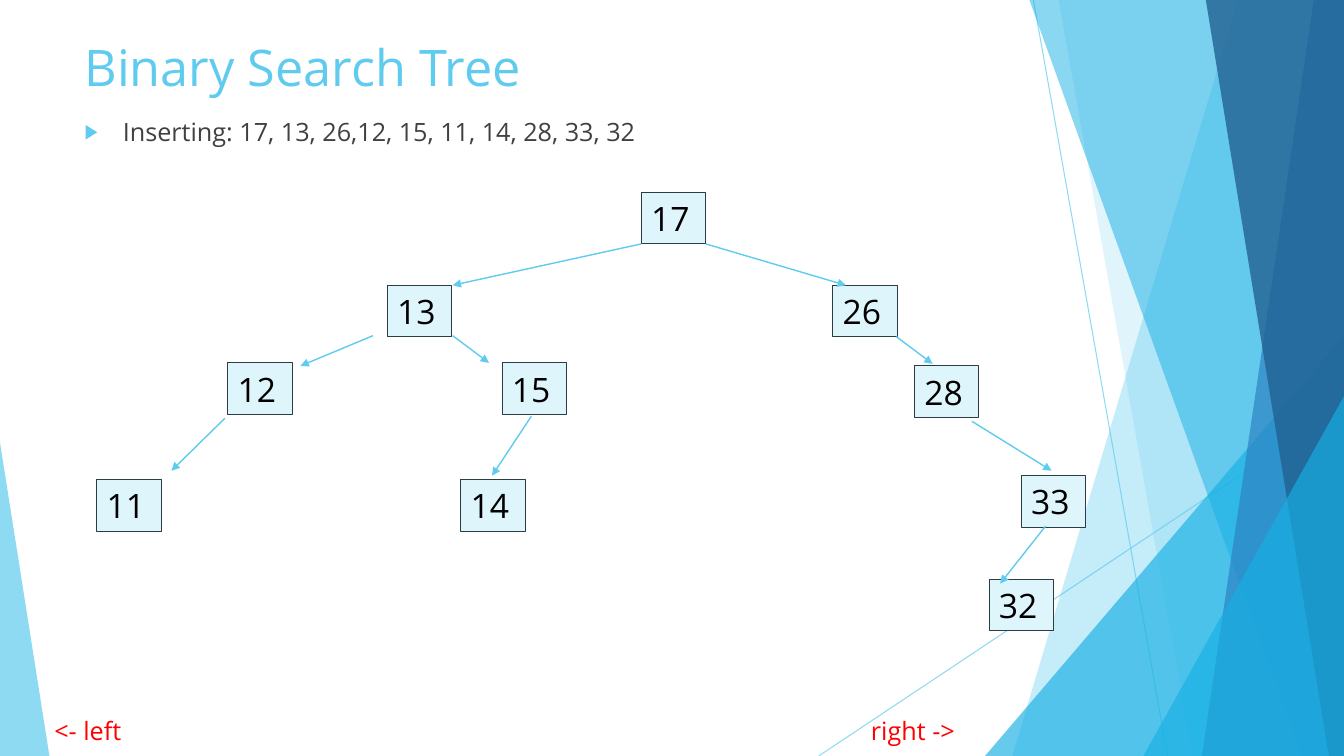
"""Build a slide that shows a binary search tree after ten inserts."""
from dataclasses import dataclass

from lxml.etree import SubElement as Sub
from pptx import Presentation as Deck
from pptx.dml.color import RGBColor as Rgb
from pptx.enum.shapes import MSO_CONNECTOR as Link, MSO_SHAPE as Kind
from pptx.enum.text import MSO_ANCHOR as Anchor, PP_ALIGN as Align
from pptx.oxml.ns import qn
from pptx.util import Inches, Pt


@dataclass(frozen=True)
class Theme:
    font: str = "Open Sans"
    sky: str = "5FCBEF"
    cyan: str = "17B0E4"
    blue: str = "2E83C3"
    navy: str = "226292"
    pale: str = "DFF5FC"
    edge: str = "2C3C43"
    ink: str = "000000"
    gray: str = "404040"
    red: str = "FF0000"
    head: int = 36
    node: int = 24
    body: int = 18


look = Theme()
WIDE, HIGH = 13.33, 7.5
BOX_W, BOX_H = 0.64, 0.51

TITLE = "Binary Search Tree"
INSERTS = "Inserting: 17, 13, 26,12, 15, 11, 14, 28, 33, 32"
SIDES = "<- left\tright ->"

NODES = {
    17: (6.36, 1.91), 26: (8.26, 2.83), 13: (3.84, 2.83), 15: (4.98, 3.6),
    12: (2.26, 3.6), 32: (9.81, 5.75), 33: (10.13, 4.72), 28: (9.07, 3.63),
    14: (4.57, 4.76), 11: (0.96, 4.76),
}
ARROWS = [
    (6.36, 2.42, 4.49, 2.83), (7, 2.42, 8.39, 2.83),
    (3.7, 3.33, 2.98, 3.63), (4.49, 3.33, 4.85, 3.6),
    (2.23, 4.15, 1.7, 4.67), (5.27, 4.13, 4.88, 4.72),
    (8.89, 3.34, 9.25, 3.61), (9.64, 4.18, 10.43, 4.67),
    (10.37, 5.22, 9.92, 5.79),
]
RAYS = [(10.25, 0, 11.58, HIGH), (WIDE, 4.03, 8.12, HIGH)]
BANDS = [
    ("band", 12.28, 10.04, look.sky, 36),
    ("band", 10.5, 11.83, look.sky, 20),
    ("wedge", 9.77, 3.33, 3.56, 1, look.cyan, 66),
    ("band", 10.21, 12.91, look.cyan, 50),
    ("band", 13.03, 11.92, look.blue, 70),
    ("band", 11.96, 13.18, look.navy, 80),
    ("wedge", 11.34, 3.93, 1.99, 1, look.cyan, 66),
    ("wedge", 0, 4.39, 0.49, 0, look.sky, 70),
]


def fade(shape, pct):
    for tint in shape._element.iter(qn("a:srgbClr")):
        Sub(tint, qn("a:alpha"), val=str(pct * 1000))


def paint(shape, fill, line=None):
    shape.shadow.inherit = False
    shape.fill.solid()
    shape.fill.fore_color.rgb = Rgb.from_string(fill)
    if line:
        shape.line.color.rgb = Rgb.from_string(line)
        shape.line.width = Pt(0.75)
    else:
        shape.line.fill.background()


def band(top, low, tint, pct):
    pen = shapes.build_freeform(Inches(top), 0, 1.0)
    ends = [(WIDE, 0), (WIDE, HIGH), (low, HIGH)]
    pen.add_line_segments([(Inches(x), Inches(y)) for x, y in ends])
    shape = pen.convert_to_shape()
    paint(shape, tint)
    fade(shape, pct)


def wedge(left, top, width, peak, tint, pct):
    shape = shapes.add_shape(Kind.ISOSCELES_TRIANGLE, Inches(left), Inches(top),
                             Inches(width), Inches(HIGH - top))
    shape.adjustments[0] = peak
    paint(shape, tint)
    fade(shape, pct)


def line(ends, width):
    link = shapes.add_connector(Link.STRAIGHT, *map(Inches, ends))
    link.line.color.rgb = Rgb.from_string(look.sky)
    link.line.width = Pt(width)
    Sub(link._element.spPr, qn("a:effectLst"))
    return link


def write(shape, text, size, tint, anchor=Anchor.MIDDLE):
    frame = shape.text_frame
    frame.word_wrap = True
    frame.vertical_anchor = anchor
    para = frame.paragraphs[0]
    para.alignment = Align.LEFT
    run = para.add_run()
    run.text = text
    run.font.name = look.font
    run.font.size = Pt(size)
    run.font.color.rgb = Rgb.from_string(tint)
    return para._p.get_or_add_pPr()


def label(left, top, width, height, *words):
    area = shapes.add_textbox(*map(Inches, (left, top, width, height)))
    return write(area, *words)


deck = Deck()
deck.slide_width, deck.slide_height = Inches(WIDE), Inches(HIGH)
shapes = deck.slides.add_slide(deck.slide_layouts[6]).shapes

for ends in RAYS:
    fade(line(ends, 0.75), 70)
for kind, *spec_row in BANDS:
    {"band": band, "wedge": wedge}[kind](*spec_row)

label(0.74, 0.3, 9.4, 0.72, TITLE, look.head, look.sky)
props = label(0.74, 1.1, 9.4, 0.5, INSERTS, look.body, look.gray, Anchor.TOP)
indent = Inches(0.38)
props.set("marL", str(indent))
props.set("indent", str(-indent))
Sub(Sub(props, qn("a:buClr")), qn("a:srgbClr"), val=look.sky)
Sub(props, qn("a:buSzPct"), val="80000")
Sub(props, qn("a:buFont"), typeface=look.font)
Sub(props, qn("a:buChar"), char="▶")

for key, (left, top) in NODES.items():
    node = shapes.add_shape(Kind.RECTANGLE, Inches(left), Inches(top),
                            Inches(BOX_W), Inches(BOX_H))
    paint(node, look.pale, look.edge)
    write(node, str(key), look.node, look.ink)

for ends in ARROWS:
    arrow = line(ends, 1)
    Sub(arrow.line._get_or_add_ln(), qn("a:tailEnd"), type="triangle")

props = label(0.44, 7.05, 11.74, 0.4, SIDES, look.body, look.red)
Sub(Sub(props, qn("a:tabLst")), qn("a:tab"), pos=str(Inches(8.1)), algn="l")

deck.save("out.pptx")
